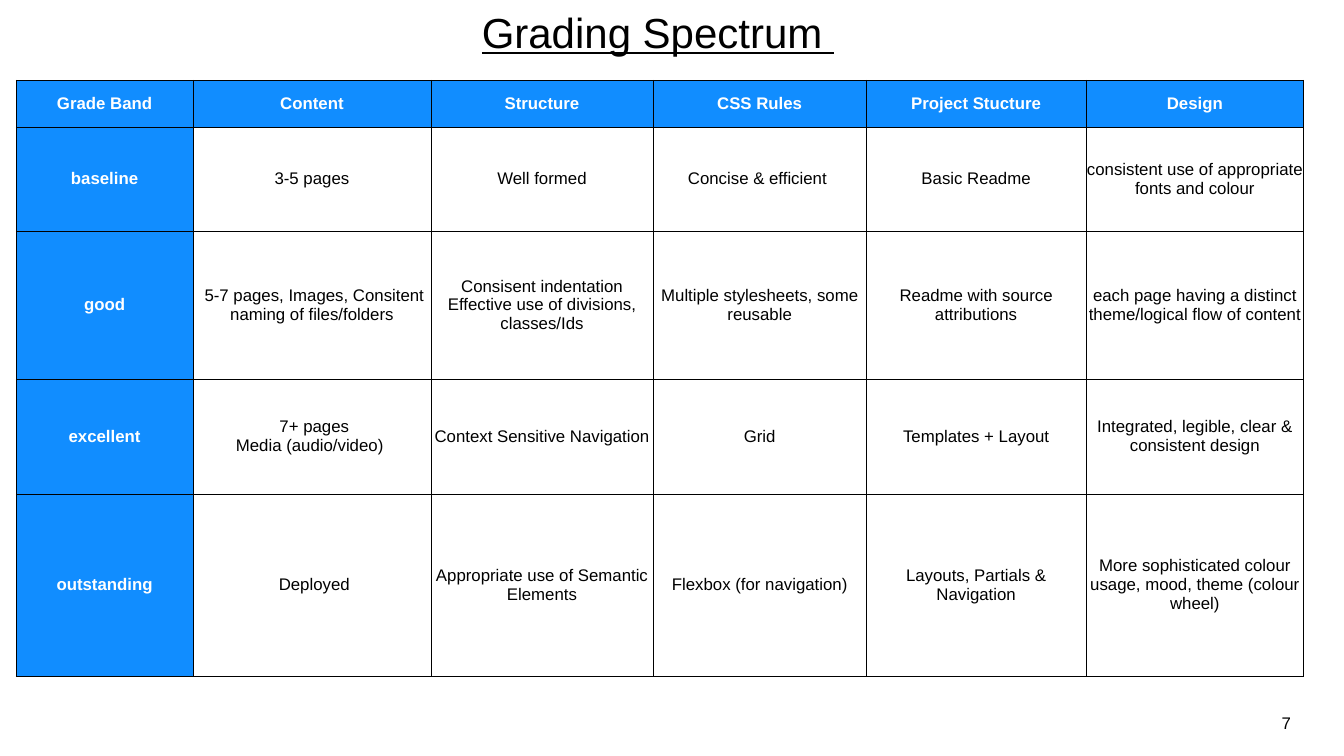
from lxml.etree import SubElement as Sub
from pptx import Presentation
from pptx.dml.color import RGBColor as Rgb
from pptx.enum.text import MSO_ANCHOR as Anchor, MSO_AUTO_SIZE as Auto, PP_ALIGN as Align
from pptx.oxml.ns import qn
from pptx.util import Inches, Pt

BLUE, BLACK, WHITE = "118DFF", "000000", "FFFFFF"
COLS = [3.51, 4.72, 4.41, 4.23, 4.36, 4.32]
ROWS = [0.94, 2.05, 2.94, 2.28, 3.61]
GRADES = [
    ["Grade Band", " Content ", "Structure", "CSS Rules", "Project Stucture", "Design"],
    ["baseline", " 3-5 pages ", "Well formed", "Concise & efficient ",
     "Basic Readme", "consistent use of appropriate fonts and colour"],
    ["good", " 5-7 pages, Images, Consitent naming of files/folders",
     "Consisent indentation\nEffective use of divisions, classes/Ids",
     "Multiple stylesheets, some reusable", "Readme with source attributions",
     "each page having a distinct theme/logical flow of content"],
    ["excellent", " 7+ pages\nMedia (audio/video) ", "Context Sensitive Navigation",
     "Grid", "Templates + Layout", "Integrated, legible, clear & consistent design"],
    ["outstanding", " Deployed", "Appropriate use of Semantic Elements",
     "Flexbox (for navigation)", "Layouts, Partials & Navigation",
     "More sophisticated colour usage, mood, theme (colour wheel)"],
]


def tint(hue):
    return Rgb.from_string(hue)


def apply(item, form):
    for key, val in form.items():
        setattr(item, key, val)


def pads(gap):
    return {f"margin_{side}": Inches(gap) for side in ("left", "top", "right", "bottom")}


def write(frame, text, size, hue=BLACK, align=Align.CENTER, **form):
    frame.text = text
    for para in frame.paragraphs:
        para.alignment = align
        for run in para.runs:
            apply(run.font, {"name": "Arial", "size": Pt(size), **form})
            run.font.color.rgb = tint(hue)


def title(slide, box):
    shape = slide.shapes.title
    apply(shape, dict(zip(("left", "top", "width", "height"), map(Inches, box))))
    frame = shape.text_frame
    apply(frame, {**pads(0.06), "word_wrap": False, "auto_size": Auto.SHAPE_TO_FIT_TEXT,
                  "vertical_anchor": Anchor.MIDDLE})
    write(frame, "Grading Spectrum ", 60, align=Align.LEFT, underline=True)
    frame.paragraphs[0].space_before = Pt(59)


def number(slide, box):
    frame = slide.shapes.add_textbox(*map(Inches, box)).text_frame
    apply(frame, {**pads(0.06), "word_wrap": False, "auto_size": Auto.SHAPE_TO_FIT_TEXT})
    write(frame, "7", 24)


def border(cell):
    props = cell._tc.get_or_add_tcPr()
    for side in "LRTB":
        line = Sub(props, qn(f"a:ln{side}"), w=str(Pt(0.75)))
        Sub(Sub(line, qn("a:solidFill")), qn("a:srgbClr"), val=BLACK)


def grid(slide, box):
    table = slide.shapes.add_table(len(ROWS), len(COLS), *map(Inches, box)).table
    apply(table, {"first_row": False, "horz_banding": False})
    for col, wide in zip(table.columns, COLS):
        col.width = Inches(wide)
    for r, (row, high) in enumerate(zip(table.rows, ROWS)):
        row.height = Inches(high)
        for c, cell in enumerate(row.cells):
            head = r == 0 or c == 0
            apply(cell, {**pads(0.02), "vertical_anchor": Anchor.MIDDLE})
            border(cell)
            if head:
                cell.fill.solid()
                cell.fill.fore_color.rgb = tint(BLUE)
            else:
                cell.fill.background()
            write(cell.text_frame, GRADES[r][c], 24, WHITE if head else BLACK, bold=head)


def main():
    deck = Presentation()
    apply(deck, {"slide_width": Inches(26.67), "slide_height": Inches(15)})
    slide = deck.slides.add_slide(deck.slide_layouts[5])
    title(slide, (9.5, 0.08, 7.66, 1.1))
    number(slide, (25.37, 14.09, 0.31, 0.5))
    grid(slide, (0.32, 1.59, sum(COLS), sum(ROWS)))
    deck.save("out.pptx")


if __name__ == "__main__":
    main()
